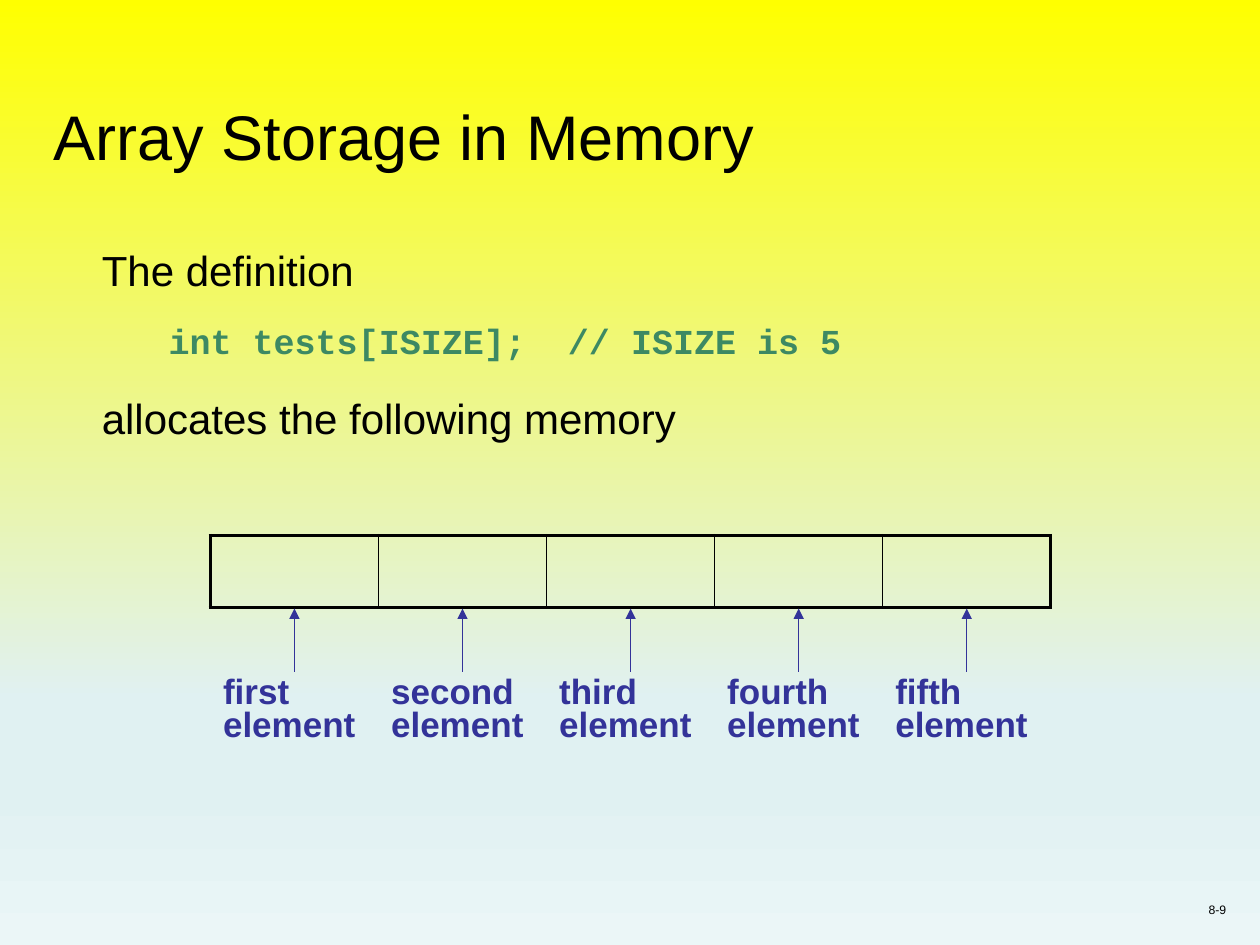
from lxml import etree
from pptx import Presentation
from pptx.dml.color import RGBColor
from pptx.enum import shapes, text
from pptx.oxml import parse_xml
from pptx.oxml.ns import nsdecls, qn
from pptx.util import Inches, Pt

BLACK = RGBColor(0x00, 0x00, 0x00)
INDIGO = RGBColor(0x33, 0x33, 0x99)
GREEN = RGBColor(0x3D, 0x89, 0x63)
SKY_STOPS = [
    (0, RGBColor(0xFF, 0xFF, 0x00)),
    (74, RGBColor(0xE0, 0xF1, 0xF2)),
    (83, RGBColor(0xE0, 0xF1, 0xF2)),
    (100, RGBColor(0xEB, 0xF6, 0xF7)),
]
PLAIN_TABLE = "{2D5ABB26-0587-4C30-8999-92F81FD0307C}"
ORDINALS = ["first", "second", "third", "fourth", "fifth"]
ARRAY_LEFT, ARRAY_WIDTH = 1.67, 6.67
ELEMENT_WIDTH = ARRAY_WIDTH / len(ORDINALS)
ARRAY_TOP, ARRAY_HEIGHT = 4.25, 0.57
LABEL_TOP, LABEL_HEIGHT = 5.33, 0.92
ARROW_TIP = 4.83


def paint_background(slide):
    fill = slide.background.fill
    fill.gradient()
    fill.gradient_angle = 270
    stops = slide.background._cSld.find(".//" + qn("a:gsLst"))
    for stop in list(stops):
        stops.remove(stop)
    for percent, color in SKY_STOPS:
        stops.append(parse_xml(
            f'<a:gs {nsdecls("a")} pos="{percent * 1000}">'
            f'<a:srgbClr val="{color}"/></a:gs>'))


def add_text_frame(slide, left, top, width, height,
                   anchor=text.MSO_ANCHOR.TOP):
    frame = slide.shapes.add_textbox(
        Inches(left), Inches(top), Inches(width), Inches(height)).text_frame
    frame.word_wrap = True
    frame.vertical_anchor = anchor
    return frame


def write_run(paragraph, words, size, color=BLACK, bold=False, font="Arial"):
    run = paragraph.add_run()
    run.text = words
    run.font.name = font
    run.font.size = Pt(size)
    run.font.bold = bold
    run.font.color.rgb = color


def indent(paragraph, margin):
    properties = paragraph._p.get_or_add_pPr()
    properties.set("marL", str(Inches(margin)))
    properties.set("indent", "0")


def add_explanation(slide):
    frame = add_text_frame(slide, 0.33, 1.89, 9.07, 4.86)
    definition = frame.paragraphs[0]
    indent(definition, 0.38)
    write_run(definition, "The definition", 24)

    code = frame.add_paragraph()
    indent(code, 0.91)
    code.space_before = Pt(14)
    write_run(code, "int tests[ISIZE];  // ISIZE is 5", 20, GREEN, True,
              "Courier New")

    allocation = frame.add_paragraph()
    indent(allocation, 0.38)
    allocation.space_before = Pt(18)
    write_run(allocation, "allocates the following memory", 24)


def add_element_row(slide, top, height):
    table = slide.shapes.add_table(
        1, len(ORDINALS), Inches(ARRAY_LEFT), Inches(top),
        Inches(ARRAY_WIDTH), Inches(height)).table
    table.first_row = False
    table.horz_banding = False
    table._tbl.tblPr.find(qn("a:tableStyleId")).text = PLAIN_TABLE
    return table


def set_borders(cell, **widths):
    properties = cell._tc.get_or_add_tcPr()
    for side, width in widths.items():
        properties.append(parse_xml(
            f'<a:ln{side} {nsdecls("a")} w="{Pt(width)}"><a:solidFill>'
            f'<a:srgbClr val="{BLACK}"/></a:solidFill></a:ln{side}>'))


def add_memory_cells(slide):
    table = add_element_row(slide, ARRAY_TOP, ARRAY_HEIGHT)
    last = len(ORDINALS) - 1
    for index, cell in enumerate(table.iter_cells()):
        set_borders(cell,
                    L=2.25 if index == 0 else 1,
                    R=2.25 if index == last else 1,
                    T=2.25, B=2.25)
        cell.fill.background()


def add_element_labels(slide):
    table = add_element_row(slide, LABEL_TOP, LABEL_HEIGHT)
    for cell, ordinal in zip(table.iter_cells(), ORDINALS):
        cell.fill.background()
        label = cell.text_frame.paragraphs[0]
        label.line_spacing = 0.85
        write_run(label, f"{ordinal} element", 20, INDIGO, True)


def add_pointer(slide, index):
    center = Inches(ARRAY_LEFT + ELEMENT_WIDTH * (index + 0.5))
    pointer = slide.shapes.add_connector(
        shapes.MSO_CONNECTOR.STRAIGHT,
        center, Inches(LABEL_TOP), center, Inches(ARROW_TIP))
    pointer.line.color.rgb = INDIGO
    pointer.line.width = Pt(0.75)
    etree.SubElement(pointer.line._get_or_add_ln(), qn("a:tailEnd"),
                     type="triangle")
    etree.SubElement(pointer._element.spPr, qn("a:effectLst"))


def main():
    deck = Presentation()
    deck.slide_width, deck.slide_height = Inches(10), Inches(7.5)
    slide = deck.slides.add_slide(deck.slide_layouts[6])
    paint_background(slide)

    page = add_text_frame(slide, 7.75, 6.83, 2.08, 0.5,
                          text.MSO_ANCHOR.BOTTOM).paragraphs[0]
    page.alignment = text.PP_ALIGN.RIGHT
    write_run(page, "8-9", 7)
    title = add_text_frame(slide, 0.33, 0.33, 9.42, 1.09,
                           text.MSO_ANCHOR.BOTTOM).paragraphs[0]
    write_run(title, "Array Storage in Memory", 36)

    add_explanation(slide)
    add_memory_cells(slide)
    add_element_labels(slide)
    for index in range(len(ORDINALS)):
        add_pointer(slide, index)
    deck.save("out.pptx")


if __name__ == "__main__":
    main()
